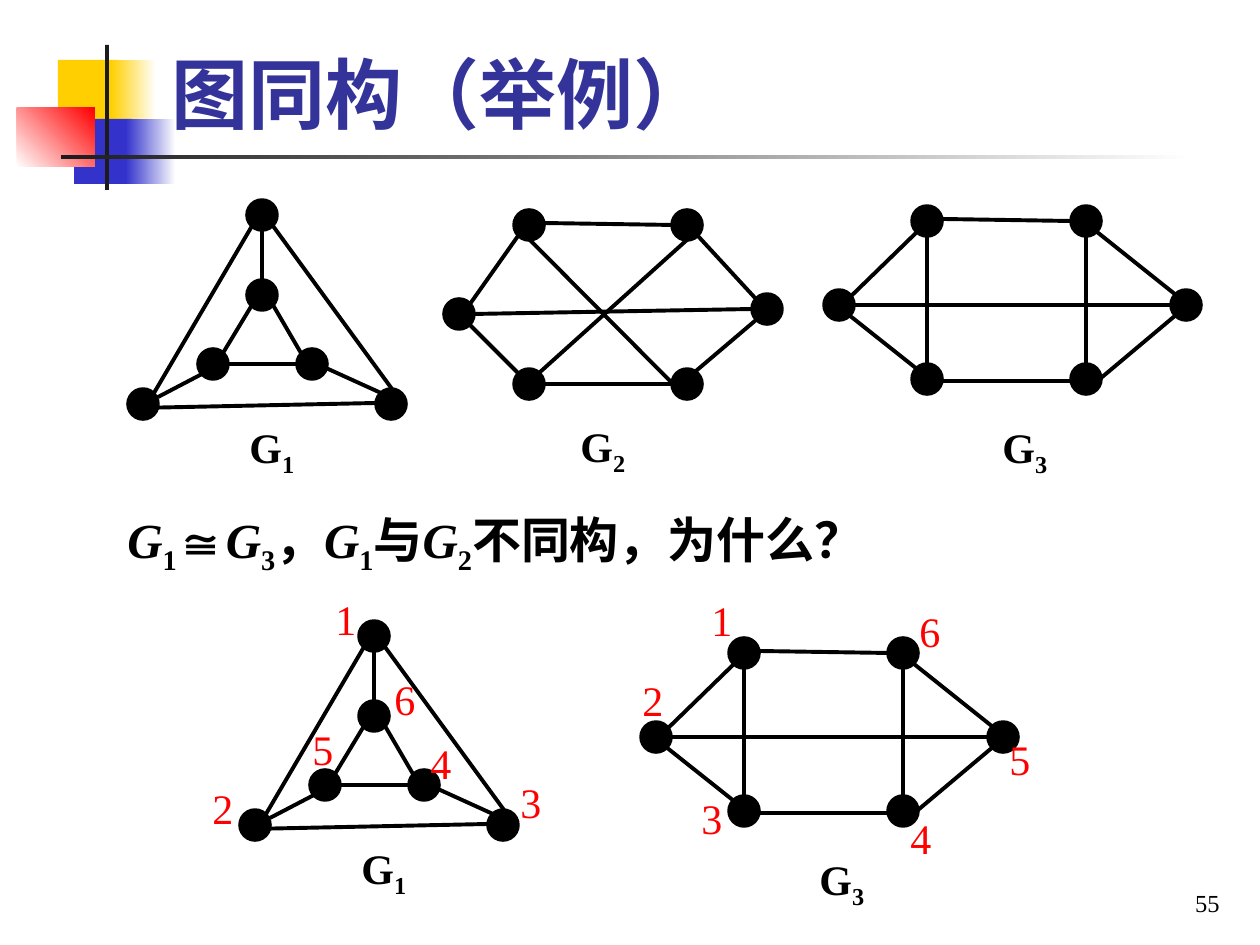
from dataclasses import dataclass

from lxml import etree
from pptx import Presentation, util as u
from pptx.dml.color import RGBColor
from pptx.enum import shapes, text
from pptx.oxml.ns import qn


@dataclass(frozen=True)
class Theme:
    ink: RGBColor = RGBColor(0x00, 0x00, 0x00)
    bar: RGBColor = RGBColor(0x1C, 0x1C, 0x1C)
    white: RGBColor = RGBColor(0xFF, 0xFF, 0xFF)
    yellow: RGBColor = RGBColor(0xFF, 0xCF, 0x01)
    blue: RGBColor = RGBColor(0x33, 0x33, 0xCC)
    red: RGBColor = RGBColor(0xFF, 0x00, 0x00)
    title: RGBColor = RGBColor(0x33, 0x33, 0x99)
    title_font: str = "Lato"
    font: str = "Times New Roman"
    title_size: int = 44
    sentence_size: int = 28
    label_size: int = 24
    page_size: int = 14


theme = Theme()
SCALE = 914400 / 126  # EMU per px
NODE = 30  # node diameter, px


def px(*lengths):
    return [u.Emu(round(length * SCALE)) for length in lengths]


def add_text(parent, box, runs, size, color, bold=False, wrap=True):
    """Each run is (words, style); style may hold i (italic) and s (subscript)."""
    frame = parent.add_textbox(*px(*box)).text_frame
    frame.word_wrap = wrap
    paragraph = frame.paragraphs[0]
    for words, style in runs:
        run = paragraph.add_run()
        run.text = words
        run.font.name = theme.font
        run.font.size = u.Pt(size)
        run.font.bold = bold
        run.font.italic = "i" in style
        run.font.color.rgb = color
        if "s" in style:
            run._r.get_or_add_rPr().set("baseline", "-25000")
    return frame


presentation = Presentation()
presentation.slide_width, presentation.slide_height = px(1260, 945)
slide = presentation.slides.add_slide(presentation.slide_layouts[5])

# Corner ornament: box, start colour, end colour (None for solid), angle
ornament = [
    ((58, 60, 60, 66), theme.yellow, None, 0),
    ((111, 60, 45, 66), theme.yellow, theme.white, 0),
    ((74, 119, 58, 65), theme.blue, None, 0),
    ((126, 119, 50, 65), theme.blue, theme.white, 0),
    ((17, 108, 78, 59), theme.white, theme.red, 45),
    ((105, 45, 4, 145), theme.bar, None, 0),
    ((61, 155, 1134, 4), theme.bar, theme.white, 0),
]
for box, start, end, angle in ornament:
    shape = slide.shapes.add_shape(shapes.MSO_SHAPE.RECTANGLE, *px(*box))
    shape.shadow.inherit = False
    shape.line.fill.background()
    if end is None:
        shape.fill.solid()
        shape.fill.fore_color.rgb = start
    else:
        shape.fill.gradient()
        shape.fill.gradient_angle = angle
        for stop, color in zip(shape.fill.gradient_stops, (start, end)):
            stop.color.rgb = color

# Title, brought in front of the ornament
title = slide.shapes.title
slide.shapes._spTree.append(title._element)
title.left, title.top, title.width, title.height = px(159, 10, 1073, 135)
title.text_frame.auto_size = text.MSO_AUTO_SIZE.NONE
title.text_frame.vertical_anchor = text.MSO_ANCHOR.BOTTOM
paragraph = title.text_frame.paragraphs[0]
paragraph.alignment = text.PP_ALIGN.LEFT
run = paragraph.add_run()
run.text = "图同构（举例）"
run.font.name = theme.title_font
run.font.size = u.Pt(theme.title_size)
run.font.bold = True
run.font.color.rgb = theme.title

# Graphs: node centres, edge ends, and the corner of the name's box
graphs = {
    "1": dict(
        nodes=[(262, 215), (262, 295), (213, 364), (312, 364), (143, 404), (391, 404)],
        edges=[(223, 353, 252, 305), (301, 353, 273, 305), (262, 280, 262, 231),
               (228, 364, 297, 364), (154, 393, 252, 226), (392, 389, 273, 226),
               (139, 408, 377, 403), (158, 397, 202, 374), (326, 368, 381, 393)],
        name=(237, 415)),
    "2": dict(
        nodes=[(529, 225), (687, 225), (529, 384), (687, 384), (459, 314), (767, 309)],
        edges=[(470, 304, 518, 236), (474, 314, 752, 309), (543, 223, 673, 225),
               (756, 299, 698, 236), (470, 325, 518, 373), (683, 382, 756, 320),
               (539, 384, 677, 384), (673, 384, 529, 239), (539, 373, 688, 239)],
        name=(568, 414)),
    "3": dict(
        nodes=[(927, 221), (1086, 221), (927, 379), (1086, 379), (839, 305), (1186, 305)],
        edges=[(843, 304, 917, 232), (853, 305, 1171, 305), (942, 219, 1071, 221),
               (1176, 295, 1097, 232), (849, 315, 917, 369), (1101, 378, 1176, 315),
               (939, 381, 1076, 381), (927, 364, 927, 236), (1086, 364, 1086, 236)],
        name=(990, 415)),
}

# Drawings: graph, shift, and corners of the red vertex numbers 1 to 6
drawings = [
    ("1", (0, 0), []),
    ("3", (0, 0), []),
    ("2", (0, 0), []),
    ("1", (112, 421),
     [(323, 587), (200, 776), (508, 770), (418, 731), (300, 717), (382, 667)]),
    ("3", (-183, 432),
     [(699, 588), (630, 668), (689, 786), (898, 806), (997, 727), (907, 599)]),
]
for key, (dx, dy), numbers in drawings:
    graph = graphs[key]
    group = slide.shapes.add_group_shape().shapes
    for x, y in graph["nodes"]:
        node = group.add_shape(
            shapes.MSO_SHAPE.OVAL,
            *px(x + dx - NODE / 2, y + dy - NODE / 2, NODE, NODE))
        node.shadow.inherit = False
        node.fill.solid()
        node.fill.fore_color.rgb = theme.ink
        node.line.color.rgb = theme.ink
        node.line.width = u.Pt(2)
    for x1, y1, x2, y2 in graph["edges"]:
        edge = group.add_connector(
            shapes.MSO_CONNECTOR.STRAIGHT, *px(x1 + dx, y1 + dy, x2 + dx, y2 + dy))
        edge.line.color.rgb = theme.ink
        edge.line.width = u.Pt(2.25)
        etree.SubElement(edge._element.spPr, qn("a:effectLst"))
    x, y = graph["name"]
    add_text(group, (x + dx, y + dy, 79, 63), [("G", ""), (key, "s")],
             theme.label_size, theme.ink, bold=True)
    for number, (x, y) in enumerate(numbers, start=1):
        add_text(group, (x, y, 47, 63), [(str(number), "")],
                 theme.label_size, theme.red, wrap=False)

# Question
add_text(slide.shapes, (115, 503, 784, 72),
         [("G", "i"), ("1", "s"), ("≅", ""), ("G", "i"), ("3", "s"), ("，", ""),
          ("G", "i"), ("1", "s"), ("与", ""), ("G", "i"), ("2", "s"),
          ("不同构，为什么？", "")],
         theme.sentence_size, theme.ink, bold=True)

# Page number
page = add_text(slide.shapes, (970, 861, 262, 63), [("55", "")],
                theme.page_size, theme.ink)
page.vertical_anchor = text.MSO_ANCHOR.BOTTOM
page.paragraphs[0].alignment = text.PP_ALIGN.RIGHT

presentation.save("out.pptx")
